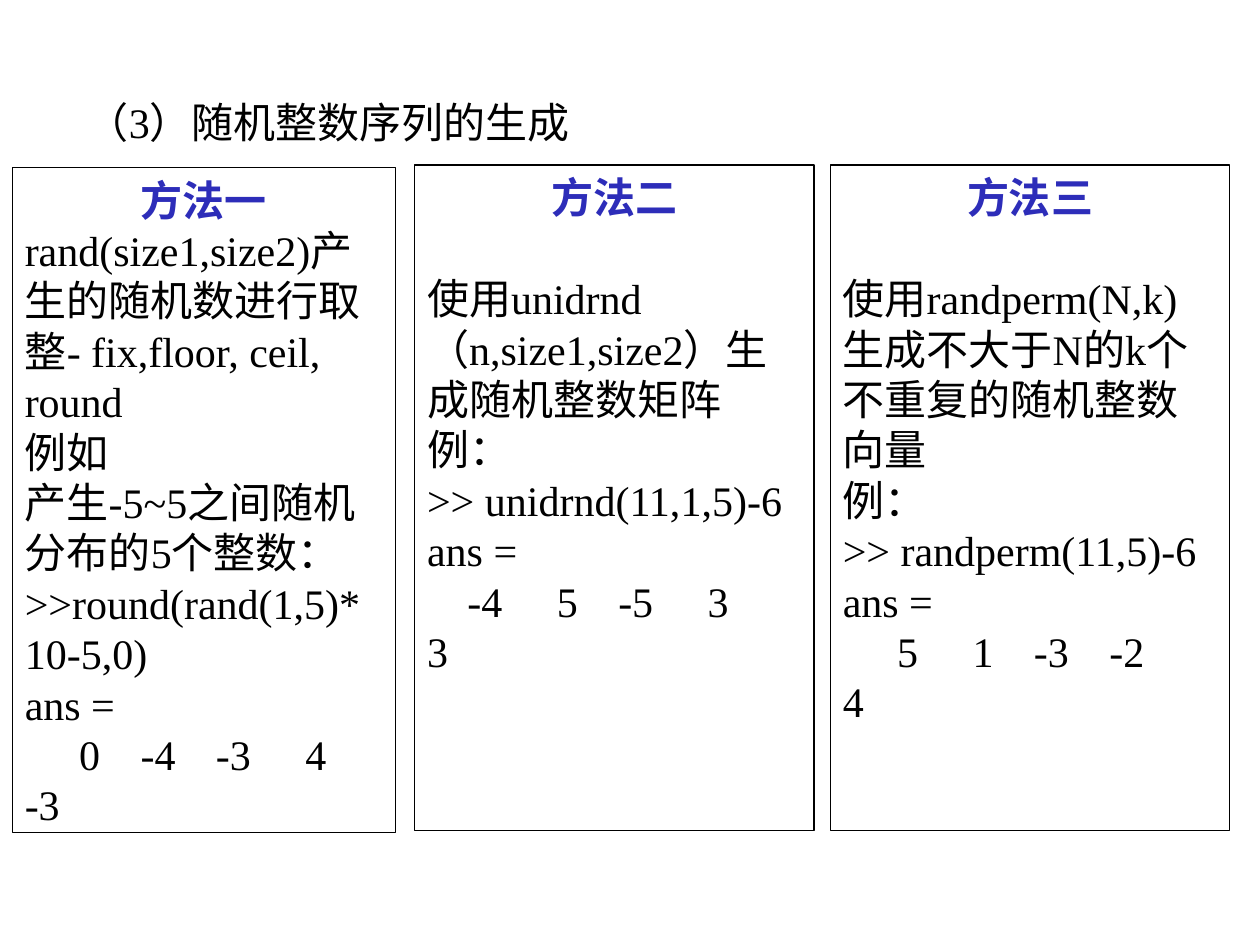
from lxml import etree
from pptx import Presentation
from pptx.dml.color import RGBColor
from pptx.enum.shapes import MSO_SHAPE
from pptx.enum.text import MSO_ANCHOR, MSO_AUTO_SIZE, PP_ALIGN
from pptx.oxml.ns import qn
from pptx.util import Cm, Pt

RECT = MSO_SHAPE.RECTANGLE
TOP = MSO_ANCHOR.TOP
NO_FIT = MSO_AUTO_SIZE.NONE
LEFT, CENTER = PP_ALIGN.LEFT, PP_ALIGN.CENTER

BLACK = RGBColor(0, 0, 0)
WHITE = RGBColor(255, 255, 255)
BLUE = RGBColor(0x2D, 0x2D, 0xB9)

FONT = {"name": "Times New Roman", "size": Pt(24)}
FRAME = {"word_wrap": True, "auto_size": NO_FIT, "vertical_anchor": TOP,
         "margin_left": Cm(0.25), "margin_right": Cm(0.25),
         "margin_top": Cm(0.13), "margin_bottom": Cm(0.13)}
BLANK_LINE = Cm(1.02)
NUMBER_STEP = Cm(1.52)

TITLE = "（3）随机整数序列的生成"
TITLE_BOX = (Cm(1.5), Cm(1.52), Cm(22.56), Cm(15.67))

# box, heading, gap below heading, text lines, resulting numbers
METHODS = [
    ((Cm(0.25), Cm(3.38), Cm(7.72), Cm(13.41)), "方法一", 0,
     ["rand(size1,size2)产生的随机数进行取整- fix,floor, ceil, round",
      "例如", "产生-5~5之间随机分布的5个整数：",
      ">>round(rand(1,5)* 10-5,0)", "ans ="],
     [0, -4, -3, 4, -3]),
    ((Cm(8.36), Cm(3.33), Cm(8.05), Cm(13.41)), "方法二", BLANK_LINE,
     ["使用unidrnd（n,size1,size2）生成随机整数矩阵",
      "例：", ">> unidrnd(11,1,5)-6", "ans ="],
     [-4, 5, -5, 3, 3]),
    ((Cm(16.74), Cm(3.33), Cm(8.05), Cm(13.41)), "方法三", BLANK_LINE,
     ["使用randperm(N,k)生成不大于N的k个不重复的随机整数向量",
      "例：", ">> randperm(11,5)-6", "ans ="],
     [5, 1, -3, -2, 4]),
]


def apply(obj, values):
    for name, value in values.items():
        setattr(obj, name, value)


def write(p, text, color=BLACK, bold=False, align=LEFT):
    p.text = text
    p.alignment = align
    for r in p.runs:
        apply(r.font, {**FONT, "bold": bold})
        r.font.color.rgb = color


def add_number_stops(p, count):
    """Give the paragraph evenly spaced right-aligned tab stops."""
    tabs = etree.SubElement(p._p.get_or_add_pPr(), qn("a:tabLst"))
    for i in range(1, count + 1):
        etree.SubElement(tabs, qn("a:tab"), pos=str(NUMBER_STEP * i), algn="r")


def add_title(slide, box):
    sp = slide.shapes.title
    apply(sp, dict(zip(("left", "top", "width", "height"), box)))
    apply(sp.text_frame, FRAME)
    p = sp.text_frame.paragraphs[0]
    write(p, TITLE)
    p.line_spacing = 1.3


def add_method(slide, box, heading, gap, lines, numbers):
    sp = slide.shapes.add_shape(RECT, *box)
    sp.shadow.inherit = False
    sp.fill.solid()
    sp.fill.fore_color.rgb = WHITE
    sp.line.color.rgb = BLACK
    sp.line.width = Pt(0.75)
    tf = sp.text_frame
    apply(tf, FRAME)

    p = tf.paragraphs[0]
    write(p, heading, BLUE, True, CENTER)
    p.space_after = gap
    for line in lines:
        write(tf.add_paragraph(), line)

    *row, last = numbers
    p = tf.add_paragraph()
    write(p, "".join(f"\t{n}" for n in row) + f"\v{last}")
    add_number_stops(p, len(row))


def main():
    prs = Presentation()
    prs.slide_width, prs.slide_height = Cm(25.4), Cm(19.05)
    slide = prs.slides.add_slide(prs.slide_layouts.get_by_name("Title Only"))
    add_title(slide, TITLE_BOX)
    for method in METHODS:
        add_method(slide, *method)
    prs.save("out.pptx")


if __name__ == "__main__":
    main()
